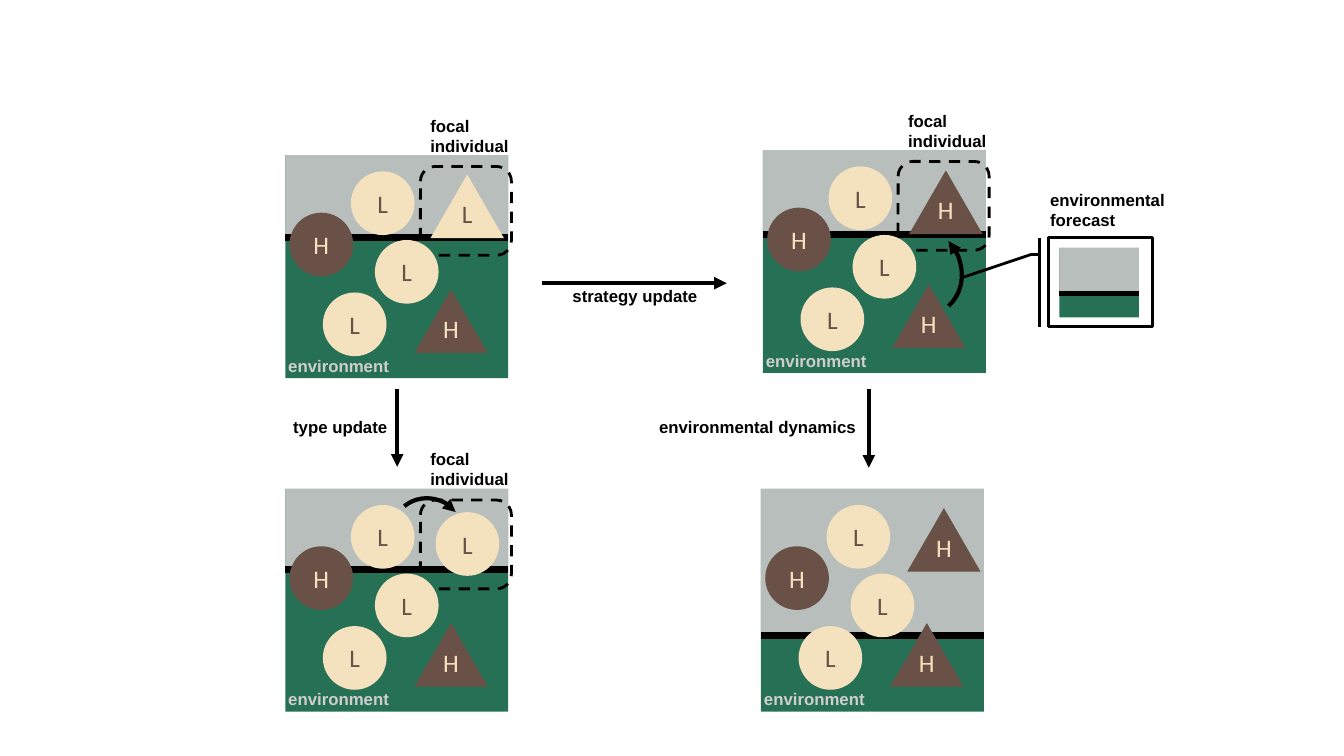
from pptx import Presentation
from pptx.dml.color import RGBColor
from pptx.enum.dml import MSO_LINE
from pptx.enum.shapes import MSO_CONNECTOR, MSO_SHAPE
from pptx.enum.text import MSO_ANCHOR, MSO_AUTO_SIZE, PP_ALIGN
from pptx.oxml.ns import qn
from pptx.util import Pt
from lxml import etree

STRAIGHT = MSO_CONNECTOR.STRAIGHT
RECTANGLE, ROUNDED = MSO_SHAPE.RECTANGLE, MSO_SHAPE.ROUNDED_RECTANGLE
CIRCLE, TRIANGLE, ARC = MSO_SHAPE.OVAL, MSO_SHAPE.ISOSCELES_TRIANGLE, MSO_SHAPE.ARC
CALLOUT = MSO_SHAPE.LINE_CALLOUT_2_BORDER_AND_ACCENT_BAR
DASH = MSO_LINE.DASH
CENTER, MIDDLE = PP_ALIGN.CENTER, MSO_ANCHOR.MIDDLE
FIT_SHAPE = MSO_AUTO_SIZE.SHAPE_TO_FIT_TEXT

BLACK, WHITE, PALE = "000000", "FFFFFF", "D0CECE"
GREEN, GREY = "005838", "C7C7C7"
CREAM, BROWN = "F4E1BE", "6A5147"
TYPE_COLORS = {"L": (CREAM, BROWN), "H": (BROWN, CREAM)}
SIZES = {CIRCLE: (45.5, 45.5), TRIANGLE: (52.5, 45.5)}
PANEL_SIZE = 159.2
GROUP = [(CIRCLE, "L", 46.8, 11.5), (CIRCLE, "H", 3, 41),
         (CIRCLE, "L", 26.8, 98), (CIRCLE, "L", 64, 60.5),
         (TRIANGLE, "H", 92.2, 95.8)]


def color(hex_text):
    """Turn a hex string into a colour."""
    return RGBColor.from_string(hex_text)


def add_arrowhead(shape, end):
    """Put a triangle on the headEnd or tailEnd of a line."""
    line = shape.element.spPr.find(qn("a:ln"))
    etree.SubElement(line, qn("a:" + end), type="triangle")


def add_shape(slide, kind, left, top, width, height, fill=None, opacity=None, weight=None):
    """Add a preset shape with an optional fill and black outline."""
    shape = slide.shapes.add_shape(kind, Pt(left), Pt(top), Pt(width), Pt(height))
    shape.shadow.inherit = False
    if fill:
        shape.fill.solid()
        shape.fill.fore_color.rgb = color(fill)
    else:
        shape.fill.background()
    if opacity:
        fill_color = shape.element.spPr.find(qn("a:solidFill"))[0]
        etree.SubElement(fill_color, qn("a:alpha"), val=str(opacity * 1000))
    if weight:
        shape.line.color.rgb = color(BLACK)
        shape.line.width = Pt(weight)
    else:
        shape.line.fill.background()
    return shape


def add_line(slide, start, end, weight, arrow=False):
    """Add a straight black line, with an arrowhead if wanted."""
    line = slide.shapes.add_connector(STRAIGHT, *(Pt(value) for value in (*start, *end)))
    line.line.color.rgb = color(BLACK)
    line.line.width = Pt(weight)
    etree.SubElement(line.element.spPr, qn("a:effectLst"))
    if arrow:
        add_arrowhead(line, "tailEnd")


def add_label(slide, left, top, width, lines, text_color=BLACK):
    """Add a bold label, one paragraph per line."""
    label = slide.shapes.add_textbox(Pt(left), Pt(top), Pt(width), Pt(7.2 + 14.4 * len(lines)))
    frame = label.text_frame
    frame.word_wrap = False
    frame.auto_size = FIT_SHAPE
    frame.text = "\n".join(lines)
    for paragraph in frame.paragraphs:
        font = paragraph.font
        font.name, font.size, font.bold = "Arial", Pt(12), True
        font.color.rgb = color(text_color)


def add_individual(slide, kind, letter, left, top):
    """Add one individual coloured by its type."""
    fill, text_color = TYPE_COLORS[letter]
    shape = add_shape(slide, kind, left, top, *SIZES[kind], fill=fill)
    frame = shape.text_frame
    frame.vertical_anchor = MIDDLE
    frame.margin_left = frame.margin_right = 0
    if kind == TRIANGLE:
        frame.margin_bottom = Pt(15.8)
    frame.text = letter
    paragraph = frame.paragraphs[0]
    paragraph.alignment = CENTER
    paragraph.font.name, paragraph.font.size = "Calibri", Pt(18)
    paragraph.font.color.rgb = color(text_color)


def add_environment(slide, left, top, width, height, grey_height, level, weight):
    """Add a green environment, its grey upper part and the level line."""
    add_shape(slide, RECTANGLE, left, top, width, height, GREEN, 85)
    add_shape(slide, RECTANGLE, left, top, width, grey_height, GREY, 90)
    add_line(slide, (left, top + level), (left + width, top + level), weight)


def add_copy_arrow(slide, left, top, width, height, rotation, end):
    """Add a curved arrow from the copied individual to the focal one."""
    arc = add_shape(slide, ARC, left, top, width, height, weight=3)
    arc.rotation = rotation
    add_arrowhead(arc, end)


def add_panel(slide, left, top, grey_height, level, focal, marked=True, copy_arrow=None):
    """Add a population in its environment, with the focal individual."""
    add_environment(slide, left, top, PANEL_SIZE, PANEL_SIZE, grey_height, level, 5)
    add_label(slide, left - 5, top + 139.5, 87, ["environment"], PALE)
    if copy_arrow:
        x, y, *rest = copy_arrow
        add_copy_arrow(slide, left + x, top + y, *rest)
    if marked:
        frame = add_shape(slide, ROUNDED, left + 96.5, top + 8, 65, 63.4, weight=2)
        frame.line.dash_style = DASH
        add_label(slide, left + 96.5, top - 32, 71.3, ["focal", "individual"])
    for kind, letter, x, y in GROUP + [focal]:
        add_individual(slide, kind, letter, left + x, top + y)


def add_forecast(slide, left, top):
    """Add the forecast callout with its small environment."""
    add_label(slide, left - 5.8, top - 38.2, 97.2, ["environmental", "forecast"])
    callout = add_shape(slide, CALLOUT, left, top, 74.5, 63.4, WHITE, weight=2)
    for index, value in enumerate((0.188, -0.083, 0.188, -0.167, 0.453, -0.839)):
        callout.adjustments[index] = value
    add_environment(slide, left + 7.9, top + 7.2, 56.9, 49.7, 32.4, 32.8, 3.5)


def add_transition(slide, start, end, text, left, top, width):
    """Add an arrow between panels and its label."""
    add_line(slide, start, end, 3, arrow=True)
    add_label(slide, left, top, width, [text])


def build_slide(slide):
    """Place the four panels, the forecast and the transitions."""
    add_panel(slide, 203.8, 110.9, 59, 59, (TRIANGLE, "L", 103.7, 13.7))
    add_panel(slide, 545, 107.3, 59, 60.5, (TRIANGLE, "H", 104.4, 14.4),
              copy_arrow=(74.9, 54.7, 69.1, 61.9, 48, "headEnd"))
    add_panel(slide, 203.8, 349.2, 59, 57.6, (CIRCLE, "L", 107.3, 16.6),
              copy_arrow=(75.6, 6.5, 51.8, 52.6, 321.1, "tailEnd"))
    add_panel(slide, 543.6, 349.2, 104.4, 105.1, (TRIANGLE, "H", 104.4, 13.7), marked=False)
    add_forecast(slide, 748.8, 169.9)
    add_transition(slide, (387.4, 202.3), (519.1, 202.3), "strategy update", 401.8, 200.9, 104.4)
    add_transition(slide, (283.7, 277.9), (283.7, 333.4), "type update", 202.3, 293.8, 82.8)
    add_transition(slide, (620.6, 277.9), (620.6, 334.1), "environmental dynamics",
                   463.7, 294.2, 156.2)


def main():
    """Build and save the presentation."""
    presentation = Presentation()
    presentation.slide_width, presentation.slide_height = Pt(960), Pt(540)
    build_slide(presentation.slides.add_slide(presentation.slide_layouts[6]))
    presentation.save("out.pptx")


main()
